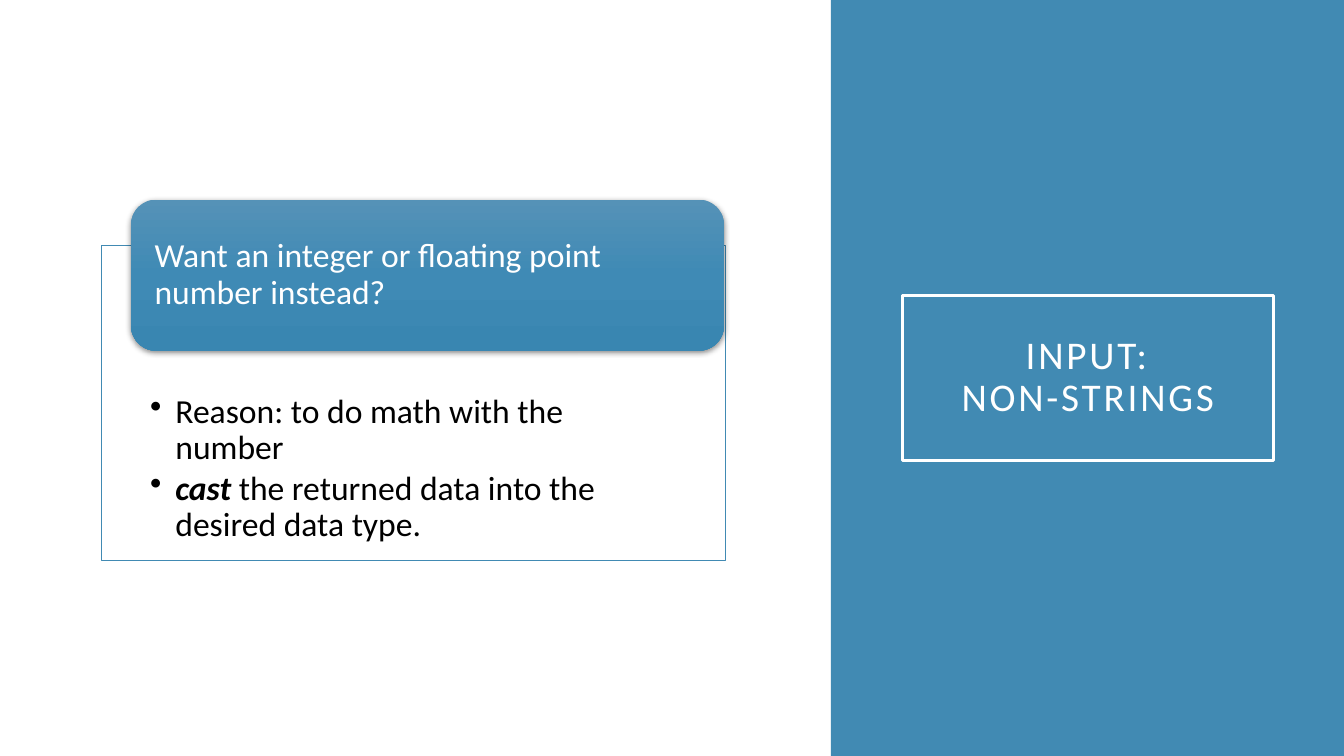
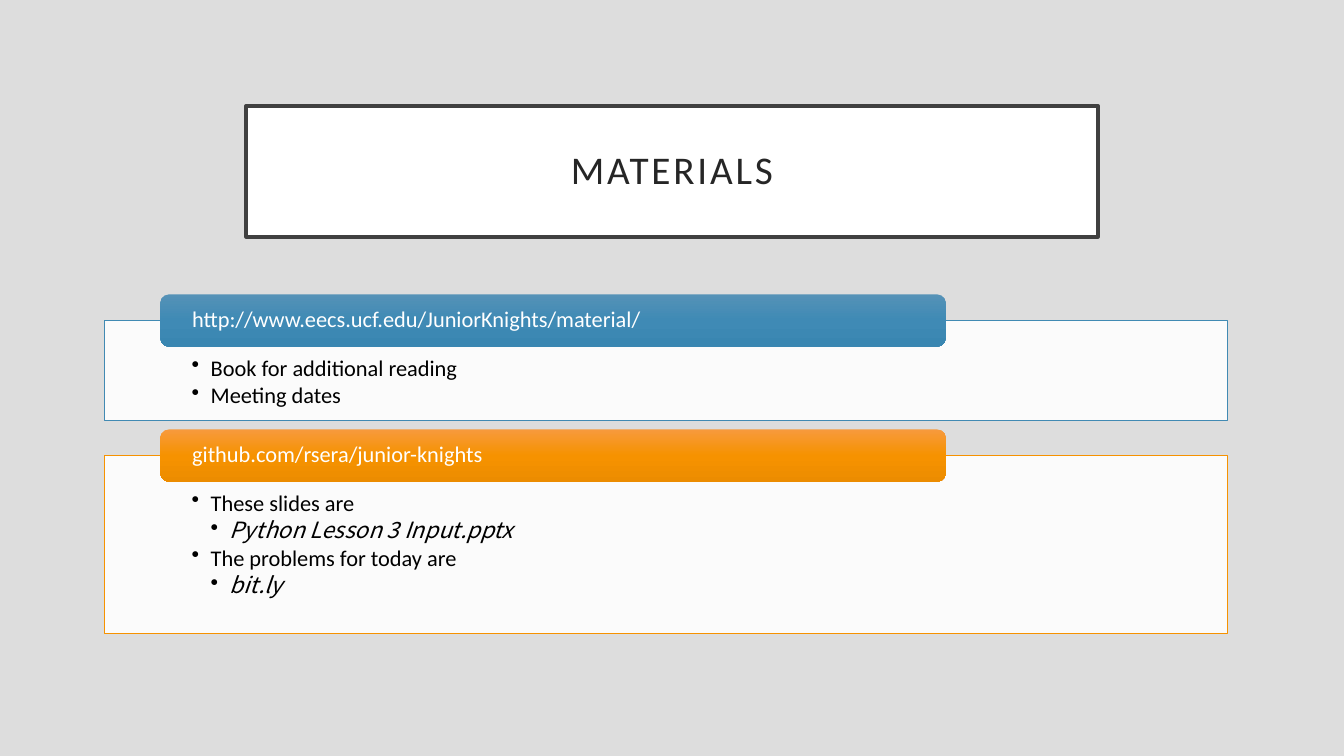
from copy import deepcopy
from dataclasses import dataclass

from lxml import etree
from pptx import Presentation
from pptx.dml.color import RGBColor
from pptx.enum.shapes import MSO_SHAPE as SHAPE
from pptx.enum.text import MSO_ANCHOR as ANCHOR, MSO_AUTO_SIZE as AUTO_SIZE, PP_ALIGN as ALIGN
from pptx.oxml.ns import qn
from pptx.util import Inches, Pt

# Colours and fonts
WHITE = RGBColor(0xFF, 0xFF, 0xFF)
BLACK = RGBColor(0x00, 0x00, 0x00)
INK = RGBColor(0x26, 0x26, 0x26)
FRAME = RGBColor(0x40, 0x40, 0x40)
GREY = RGBColor(0xDD, 0xDD, 0xDD)
BLUE = RGBColor(0x41, 0x8A, 0xB3)
ORANGE = RGBColor(0xF6, 0x92, 0x00)
BLUE_SHADES = [RGBColor(0x55, 0x92, 0xB7), RGBColor(0x3F, 0x8A, 0xB5), RGBColor(0x39, 0x86, 0xB1)]
ORANGE_SHADES = [RGBColor(0xF7, 0x9A, 0x3D), ORANGE, RGBColor(0xEC, 0x8C, 0x00)]
BODY_FONT = "Calibri"
FILE_FONT = "Noto Sans CJK SC"

# Span kinds: font, bold, italic
PLAIN = (BODY_FONT, False, False)
STRONG = (BODY_FONT, True, True)
FILE_NAME = (FILE_FONT, False, True)

SLIDE_WIDTH, SLIDE_HEIGHT = 13.33, 7.5


@dataclass
class TopicStyle:
    """Measures of a card with a heading tab, in inches; size in points."""
    size: int
    left: float
    width: float
    insets: tuple
    indent: float
    tab_offset: float
    tab_rise: float
    tab_width: float
    tab_height: float
    tab_inset: float
    shadow: bool = False


LARGE = TopicStyle(24, 1.01, 6.18, (0.48, 1.48, 0.48, 0.19), 0.25,
                   0.29, 0.45, 5.88, 1.5, 0.16, shadow=True)
SMALL = TopicStyle(16, 1.04, 11.13, (0.86, 0.36, 0.86, 0.12), 0.19,
                   0.55, 0.26, 7.79, 0.52, 0.29)


def add_block(page, kind, left, top, width, height):
    block = page.shapes.add_shape(kind, Inches(left), Inches(top), Inches(width), Inches(height))
    block.shadow.inherit = False
    block.line.fill.background()
    return block


def set_frame(frame, anchor, insets):
    frame.word_wrap = True
    frame.auto_size = AUTO_SIZE.NONE
    frame.vertical_anchor = anchor
    (frame.margin_left, frame.margin_top,
     frame.margin_right, frame.margin_bottom) = map(Inches, insets)


def format_span(span, size, color, kind=PLAIN):
    font = span.font
    font.name, font.bold, font.italic = kind
    font.size = Pt(size)
    font.color.rgb = color


def add_title(page, text, left, top, width, height, line_color, text_color, fill_color=None):
    title = page.shapes.title
    title.left, title.top, title.width, title.height = map(Inches, (left, top, width, height))
    if fill_color is not None:
        title.fill.solid()
        title.fill.fore_color.rgb = fill_color
    title.line.color.rgb = line_color
    title.line.width = Pt(2.5)
    set_frame(title.text_frame, ANCHOR.MIDDLE, (0.2,) * 4)
    title.text_frame.text = text
    para = title.text_frame.paragraphs[0]
    para.alignment = ALIGN.CENTER
    para.line_spacing = 0.9
    for span in para.runs:
        format_span(span, 28, text_color)
        span.font._element.set("spc", "200")


def add_bullets(frame, bullets, style):
    for index, (level, spans) in enumerate(bullets):
        para = frame.add_paragraph() if index else frame.paragraphs[0]
        para.level = level
        properties = para._p.get_or_add_pPr()
        properties.set("marL", str(Inches(style.indent * level)))
        properties.set("indent", str(-Inches(style.indent)))
        etree.SubElement(properties, qn("a:buChar"), char="•")
        para.alignment = ALIGN.LEFT
        para.line_spacing = 0.9
        para.space_after = Pt(0.15 * style.size)
        for text, kind in spans:
            span = para.add_run()
            span.text = text
            format_span(span, style.size, BLACK, kind)


def add_card(page, top, height, style, color, bullets):
    card = add_block(page, SHAPE.RECTANGLE, style.left, top, style.width, height)
    card.fill.solid()
    card.fill.fore_color.rgb = WHITE
    white = card._element.spPr.find(qn("a:solidFill"))[0]
    etree.SubElement(white, qn("a:alpha"), val="90000")
    card.line.color.rgb = color
    card.line.width = Pt(0.5)
    set_frame(card.text_frame, ANCHOR.TOP, style.insets)
    add_bullets(card.text_frame, bullets, style)


def fill_gradient(shape, shades):
    shape.fill.gradient()
    shape.fill.gradient_angle = 270
    stops = shape._element.spPr.find(".//" + qn("a:gsLst"))
    stops.append(deepcopy(stops[0]))
    for stop, position, shade in zip(shape.fill.gradient_stops, (0, 0.5, 1), shades):
        stop.position = position
        stop.color.rgb = shade


def add_shadow(shape):
    effects = shape._element.spPr.find(qn("a:effectLst"))
    shadow = etree.SubElement(effects, qn("a:outerShdw"), blurRad=str(Pt(4.4)),
                              dist=str(Pt(1.2)), dir="5400000", rotWithShape="0")
    black = etree.SubElement(shadow, qn("a:srgbClr"), val="000000")
    etree.SubElement(black, qn("a:alpha"), val="45000")


def add_tab(page, card_top, style, shades, heading):
    tab = add_block(page, SHAPE.ROUNDED_RECTANGLE, style.left + style.tab_offset,
                    card_top - style.tab_rise, style.tab_width, style.tab_height)
    fill_gradient(tab, shades)
    if style.shadow:
        add_shadow(tab)
    set_frame(tab.text_frame, ANCHOR.MIDDLE, (style.tab_inset, 0, style.tab_inset, 0))
    tab.text_frame.text = heading
    para = tab.text_frame.paragraphs[0]
    para.alignment = ALIGN.LEFT
    para.line_spacing = 0.9
    format_span(para.runs[0], style.size, WHITE)


def add_topic(page, top, height, style, color, shades, heading, bullets):
    add_card(page, top, height, style, color, bullets)
    add_tab(page, top, style, shades, heading)


def add_page(deck, background):
    page = deck.slides.add_slide(deck.slide_layouts[5])
    page.background.fill.solid()
    page.background.fill.fore_color.rgb = background
    return page


def build_input_page(deck):
    page = add_page(deck, WHITE)
    # Side panel, placed behind the title
    panel_left = 8.24
    panel = add_block(page, SHAPE.RECTANGLE, panel_left, 0, SLIDE_WIDTH - panel_left, SLIDE_HEIGHT)
    panel.fill.solid()
    panel.fill.fore_color.rgb = BLUE
    page.shapes.title._element.addprevious(panel._element)
    add_title(page, "INPUT:\vNON-STRINGS", 8.95, 2.93, 3.68, 1.64, WHITE, WHITE)
    add_topic(page, 2.43, 3.13, LARGE, BLUE, BLUE_SHADES,
              "Want an integer or floating point number instead?", [
                  (1, [("Reason: to do math with the number", PLAIN)]),
                  (1, [("cast", STRONG), (" the returned data into the desired data type.", PLAIN)]),
              ])


def build_materials_page(deck):
    page = add_page(deck, GREY)
    add_title(page, "MATERIALS", 2.44, 1.05, 8.45, 1.3, FRAME, INK, WHITE)
    add_topic(page, 3.18, 0.99, SMALL, BLUE, BLUE_SHADES,
              "http://www.eecs.ucf.edu/JuniorKnights/material/", [
                  (1, [("Book for additional reading", PLAIN)]),
                  (1, [("Meeting dates", PLAIN)]),
              ])
    add_topic(page, 4.52, 1.76, SMALL, ORANGE, ORANGE_SHADES,
              "github.com/rsera/junior-knights", [
                  (1, [("These slides are", PLAIN)]),
                  (2, [("Python Lesson 3 Input.pptx", FILE_NAME)]),
                  (1, [("The problems for today are", PLAIN)]),
                  (2, [("bit.ly", FILE_NAME)]),
              ])


def main():
    deck = Presentation()
    deck.slide_width, deck.slide_height = Inches(SLIDE_WIDTH), Inches(SLIDE_HEIGHT)
    build_input_page(deck)
    build_materials_page(deck)
    deck.save("out.pptx")


if __name__ == "__main__":
    main()
